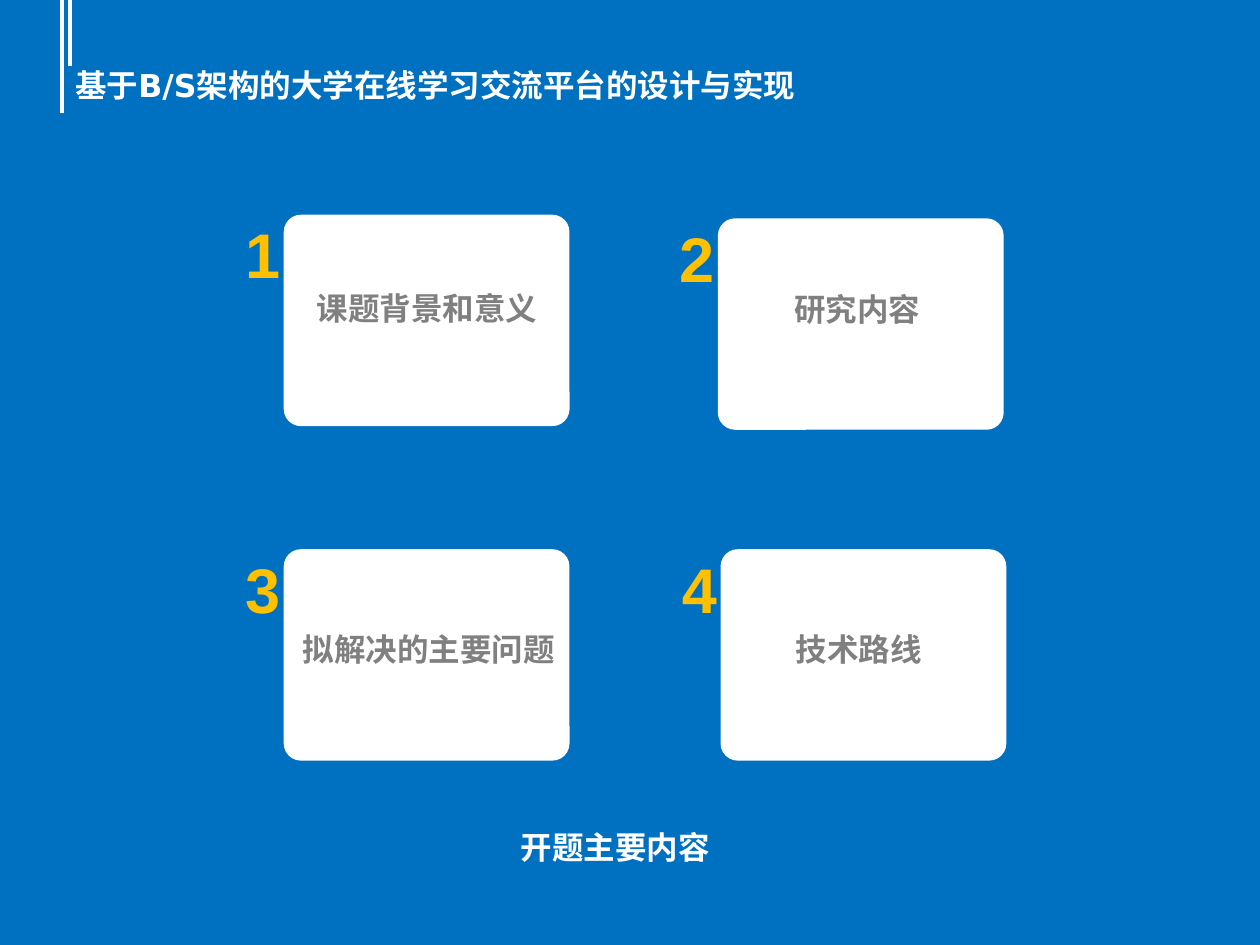
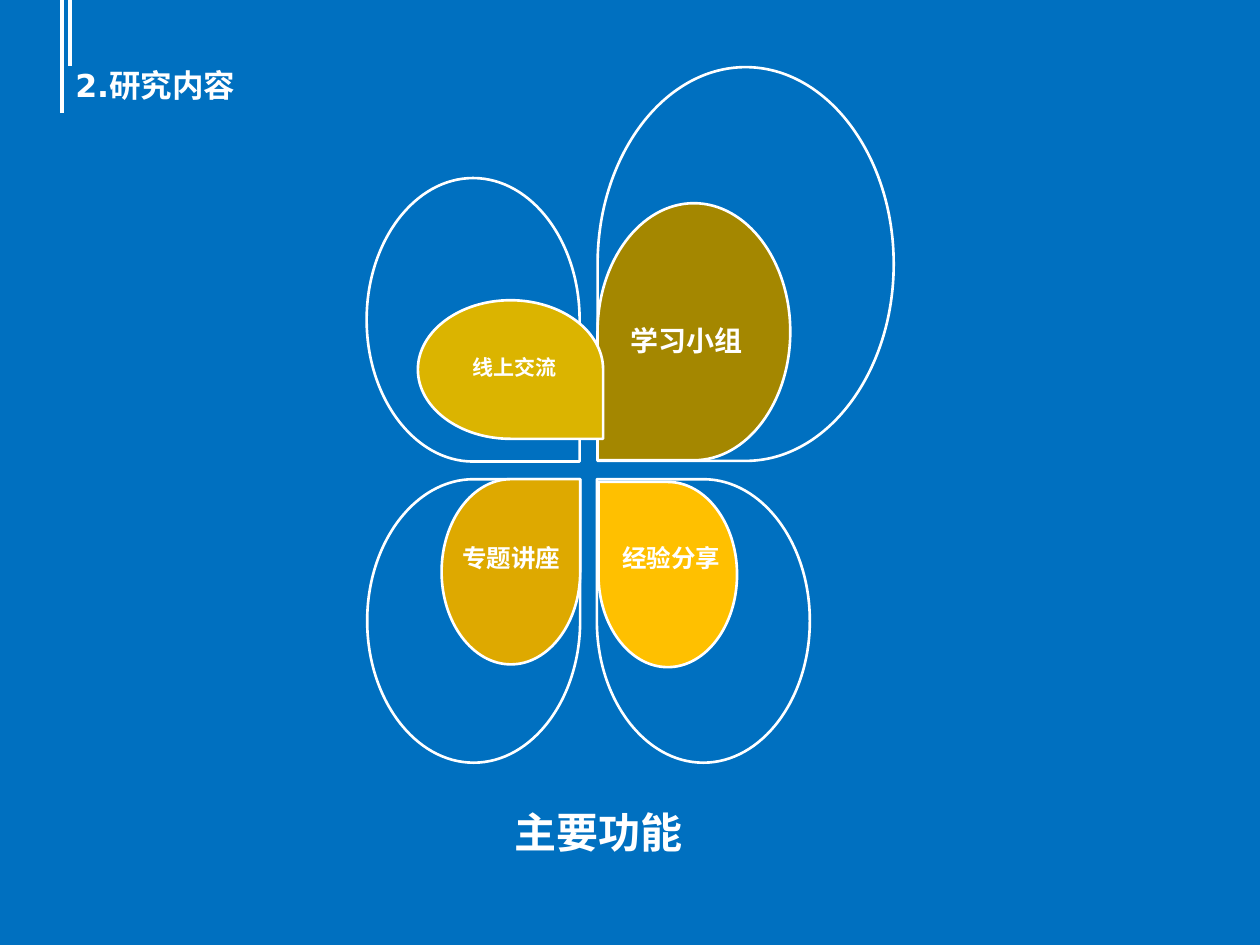
"""Build the two thesis proposal slides: the contents cards and the flower of main functions."""
from lxml import etree
from pptx import Presentation
from pptx.dml.color import RGBColor
from pptx.enum.shapes import MSO_CONNECTOR, MSO_SHAPE
from pptx.enum.text import MSO_ANCHOR, PP_ALIGN
from pptx.oxml.ns import qn
from pptx.util import Inches, Pt

STRAIGHT = MSO_CONNECTOR.STRAIGHT
ROUNDED = MSO_SHAPE.ROUNDED_RECTANGLE
TOP, MIDDLE = MSO_ANCHOR.TOP, MSO_ANCHOR.MIDDLE
LEFT, CENTER = PP_ALIGN.LEFT, PP_ALIGN.CENTER

COLORS = {name: RGBColor.from_string(value) for name, value in {
    "background": "0070C0",
    "white": "FFFFFF",
    "grey": "808080",
    "amber": "FFC000",
    "olive": "A48700",
    "gold": "DEA900",
    "mustard": "DBB400",
}.items()}
HEADING_FONT, BODY_FONT, CHINESE_FONT = "DejaVu Sans", "Arial", "Noto Sans CJK SC"

presentation = Presentation()
presentation.slide_width = Inches(10)
presentation.slide_height = Inches(7.5)
COLUMN = presentation.slide_width // 100
ROW = presentation.slide_height // 75

background = presentation.slide_master.background.fill
background.solid()
background.fore_color.rgb = COLORS["background"]


def add_text(slide, text, box, size, font=BODY_FONT, color="white",
             align=CENTER, anchor=TOP, spacing=None):
    """Add one bold line of text; box is left, top, width, height in grid units."""
    left, top, width, height = box
    shape = slide.shapes.add_textbox(round(left * COLUMN), round(top * ROW),
                                     round(width * COLUMN), round(height * ROW))
    frame = shape.text_frame
    frame.word_wrap = True
    frame.vertical_anchor = anchor
    paragraph = frame.paragraphs[0]
    paragraph.alignment = align
    paragraph.line_spacing = spacing
    run = paragraph.add_run()
    run.text = text
    run.font.size = Pt(size)
    run.font.bold = True
    run.font.color.rgb = COLORS[color]
    run.font.name = font
    east_asian = etree.SubElement(run.font._element, qn("a:ea"))
    east_asian.set("typeface", CHINESE_FONT)


def add_titled_slide(title):
    """Add a blank slide with the two hanging lines and its title."""
    slide = presentation.slides.add_slide(presentation.slide_layouts[6])
    for column, row in ((4.9, 8.93), (5.57, 5.23)):
        x = round(column * COLUMN)
        line = slide.shapes.add_connector(STRAIGHT, x, 0, x, round(row * ROW))
        line.line.color.rgb = COLORS["white"]
        line.line.width = Pt(2.25)
        etree.SubElement(line._element.spPr, qn("a:effectLst"))
    add_text(slide, title, (5, 3.06, 90, 7.4), 18, HEADING_FONT, align=LEFT, anchor=MIDDLE)
    return slide


contents_slide = add_titled_slide("基于B/S架构的大学在线学习交流平台的设计与实现")
CARD_WIDTH, CARD_HEIGHT, LABEL_WIDTH = 22.4, 16.5, 22.3
cards = [
    ("1", "课题背景和意义", 22.66, 17.18, 33.9, 22.45),
    ("2", "研究内容", 57.12, 17.47, 68.05, 22.5),
    ("3", "拟解决的主要问题", 22.66, 43.73, 34.05, 49.5),
    ("4", "技术路线", 57.33, 43.73, 68.15, 49.5),
]
for number, label, left, top, label_center, label_top in cards:
    card = contents_slide.shapes.add_shape(
        ROUNDED, round(left * COLUMN), round(top * ROW),
        round(CARD_WIDTH * COLUMN), round(CARD_HEIGHT * ROW))
    card.adjustments[0] = 0.074
    card.shadow.inherit = False
    card.fill.solid()
    card.fill.fore_color.rgb = COLORS["white"]
    card.line.color.rgb = COLORS["white"]
    card.line.width = Pt(2)
    add_text(contents_slide, number, (left - 4.2, top - 0.6, 27.5, 7.1), 36,
             color="amber", align=LEFT, anchor=MIDDLE)
    add_text(contents_slide, label,
             (label_center - LABEL_WIDTH / 2, label_top, LABEL_WIDTH, 4), 18,
             HEADING_FONT, "grey")
add_text(contents_slide, "开题主要内容", (7.85, 64.8, 82, 4.2), 18, CHINESE_FONT, spacing=1.14)

functions_slide = add_titled_slide("2.研究内容")
CURVE = 0.55
petals = [
    (47.43, 5.33, 23.5, 31.25, -1, 1, None),
    (47.37, 38.03, 16.9, 22.5, -1, -1, None),
    (29.14, 38.03, 16.9, 22.5, 1, -1, None),
    (29.1, 14.13, 16.9, 22.5, 1, 1, None),
    (47.43, 16.13, 15.3, 20.4, -1, 1, "olive"),
    (47.5, 38.25, 11, 14.7, -1, -1, "amber"),
    (35.05, 38.03, 11, 14.7, 1, -1, "gold"),
    (33.17, 23.83, 14.7, 11, 1, 1, "mustard"),
]
for left, top, width, height, corner_x, corner_y, color in petals:
    radius_x, radius_y = round(width * COLUMN / 2), round(height * ROW / 2)
    outline = [(0, corner_y), (-corner_x, 0), (0, -corner_y), (corner_x, 0), (corner_x, corner_y)]
    points = [(radius_x * (1 + x), radius_y * (1 + y)) for x, y in outline]
    builder = functions_slide.shapes.build_freeform(*points[0])
    builder.add_line_segments(points[1:], close=True)
    petal = builder.convert_to_shape(round(left * COLUMN), round(top * ROW))
    segments = list(petal._element.iter(qn("a:lnTo")))[:3]
    for index, segment in enumerate(segments):
        (start_x, start_y), (end_x, end_y) = points[index:index + 2]
        step_x, step_y = round(CURVE * (end_x - start_x)), round(CURVE * (end_y - start_y))
        if index % 2 == 0:
            controls = [(start_x + step_x, start_y), (end_x, end_y - step_y)]
        else:
            controls = [(start_x, start_y + step_y), (end_x - step_x, end_y)]
        curve = etree.Element(qn("a:cubicBezTo"))
        for x, y in controls + [(end_x, end_y)]:
            etree.SubElement(curve, qn("a:pt"), x=str(x), y=str(y))
        segment.getparent().replace(segment, curve)
    petal.shadow.inherit = False
    petal.line.color.rgb = COLORS["white"]
    petal.line.width = Pt(1.5)
    if color:
        petal.fill.solid()
        petal.fill.fore_color.rgb = COLORS[color]
    else:
        petal.fill.background()

petal_labels = [
    ("线上交流", 35.04, 27.65, 3, 12),
    ("学习小组", 48.7, 25.2, 3.7, 16),
    ("专题讲座", 34.8, 42.6, 3.4, 14),
    ("经验分享", 47.5, 42.6, 3.4, 14),
]
for label, left, top, height, size in petal_labels:
    add_text(functions_slide, label, (left, top, 11.6, height), size)
add_text(functions_slide, "主要功能", (39.85, 63.5, 20.5, 5), 24, HEADING_FONT, align=LEFT)

presentation.save("out.pptx")
